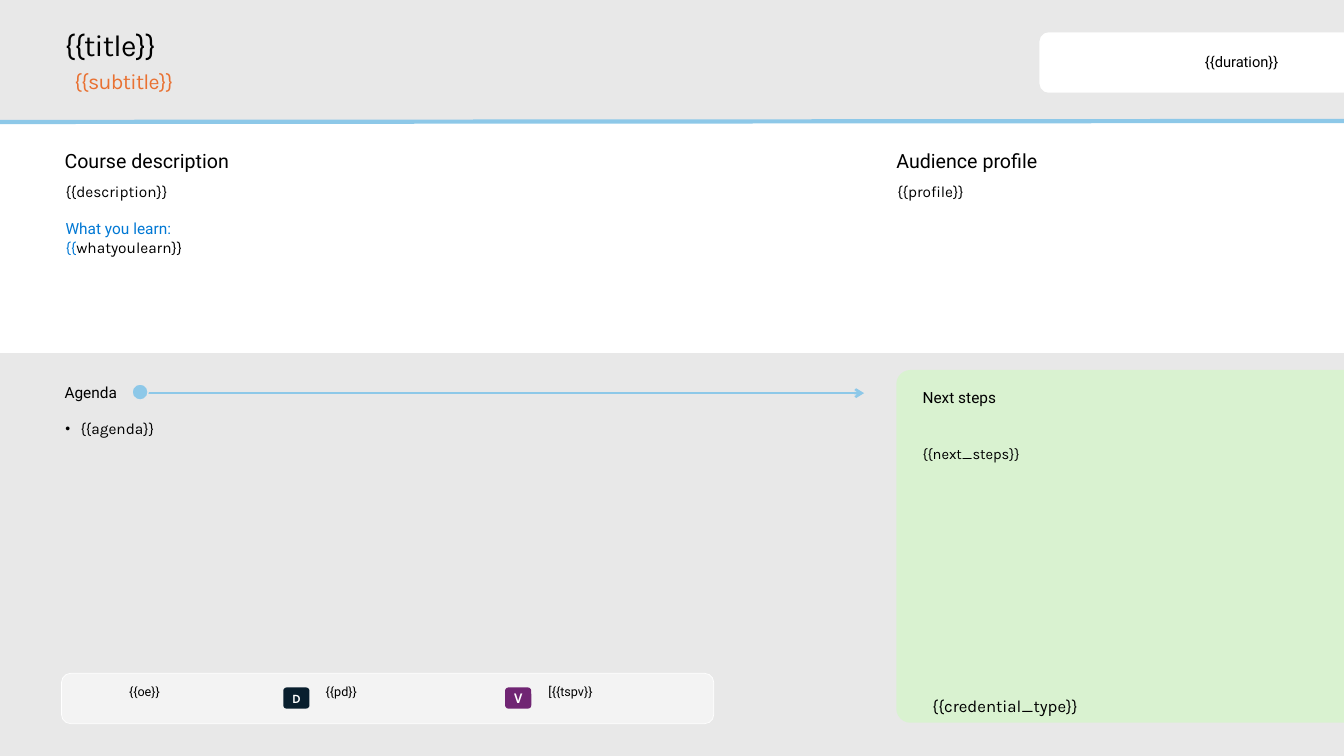
from lxml import etree
from pptx import Presentation
from pptx.dml.color import RGBColor
from pptx.enum import shapes, text
from pptx.oxml import ns
from pptx.util import Inches, Pt

COLORS = {
    "ground": "E8E8E8", "white": "FFFFFF", "black": "000000", "sky": "8DC8E8",
    "green": "D9F2D0", "orange": "E97132", "blue": "0078D4",
    "navy": "091F2E", "purple": "702573",
}
SHAPE = shapes.MSO_SHAPE
ALIGN = text.PP_ALIGN
ANCHOR = text.MSO_ANCHOR


def rgb(name):
    return RGBColor.from_string(COLORS[name])


def style(p, size, font="Karla", color="black", bold=False, align=ALIGN.LEFT,
          spacing=None, before=0, after=0):
    p.font.size, p.font.name, p.font.bold = Pt(size), font, bold
    p.font.color.rgb = rgb(color)
    p.alignment, p.line_spacing = align, spacing
    p.space_before, p.space_after = Pt(before), Pt(after)


def set_frame(tf, inset=(0, 0), anchor=ANCHOR.TOP):
    tf.word_wrap = True
    tf.auto_size = text.MSO_AUTO_SIZE.NONE
    tf.vertical_anchor = anchor
    tf.margin_left = tf.margin_right = Inches(inset[0])
    tf.margin_top = tf.margin_bottom = Inches(inset[1])


def add_text(s, x, y, w, h, words, size, inset=(0, 0), anchor=ANCHOR.TOP, **look):
    tf = s.shapes.add_textbox(Inches(x), Inches(y), Inches(w), Inches(h)).text_frame
    set_frame(tf, inset, anchor)
    p = tf.paragraphs[0]
    p.text = words
    style(p, size, **look)
    return tf


def add_heading(s, x, y, w, words):
    add_text(s, x, y, w, 0.24, words, 14, font="Roboto", spacing=Pt(18), after=6)


def add_label(s, x, y, w, words):
    add_text(s, x, y, w, 0.21, words, 11, font="Roboto", after=6)


def add_box(s, kind, x, y, w, h, fill, line=None, width=1, adj=None):
    sp = s.shapes.add_shape(kind, Inches(x), Inches(y), Inches(w), Inches(h))
    sp.shadow.inherit = False
    sp.fill.solid()
    sp.fill.fore_color.rgb = rgb(fill)
    if line:
        sp.line.color.rgb = rgb(line)
        sp.line.width = Pt(width)
    else:
        sp.line.fill.background()
    if adj is not None:
        sp.adjustments[0] = adj
    return sp


def add_left_rounded(s, x, y, w, h, fill, adj):
    sp = add_box(s, SHAPE.ROUND_2_SAME_RECTANGLE, x + (w - h) / 2, y + (h - w) / 2,
                 h, w, fill, adj=adj)
    sp.rotation = 270


def add_line(s, x1, y1, x2, y2, width, arrow=False):
    c = s.shapes.add_connector(shapes.MSO_CONNECTOR.STRAIGHT, Inches(x1), Inches(y1),
                               Inches(x2), Inches(y2))
    c.line.color.rgb = rgb("sky")
    c.line.width = Pt(width)
    if arrow:
        etree.SubElement(c.line._get_or_add_ln(), ns.qn("a:tailEnd"), type="arrow")
    etree.SubElement(c._element.spPr, ns.qn("a:effectLst"))


def tighten(p):
    for r in p.runs:
        r._r.get_or_add_rPr().set("spc", "-50")


def add_header(s, x, y, w):
    title = s.shapes.title
    title.left, title.top = Inches(x), Inches(y)
    title.width, title.height = Inches(w), Inches(0.33)
    set_frame(title.text_frame)
    p = title.text_frame.paragraphs[0]
    p.text = "{{title}}"
    style(p, 21.5, spacing=0.9)
    tighten(p)
    tf = add_text(s, x, y + 0.4, w, 0.3, "{{subtitle}}", 15.3, inset=(0.1, 0.05),
                  color="orange", spacing=0.7)
    tighten(tf.paragraphs[0])


def add_duration(s, x, y, w, h):
    add_left_rounded(s, x, y, w, h, "white", 0.151)
    add_text(s, x, y + 0.22, 2.37, 0.17, "{{duration}}", 10.5, font="Roboto",
             anchor=ANCHOR.MIDDLE, align=ALIGN.RIGHT, spacing=0.95)


def add_description(s, x, y, w):
    add_heading(s, x, y, 3.8, "Course description")
    tf = add_text(s, x + 0.01, y + 0.35, w, 1.65, "{{description}}", 11)
    p = tf.add_paragraph()
    p.text = "What you learn:"
    style(p, 11, font="Roboto", color="blue", before=13)
    p = tf.add_paragraph()
    style(p, 11)
    for words, color in (("{{", "blue"), ("whatyoulearn}}", "black")):
        r = p.add_run()
        r.text = words
        r.font.color.rgb = rgb(color)


def add_audience(s, x, y, w):
    add_heading(s, x, y, w, "Audience profile")
    add_text(s, x + 0.01, y + 0.35, w, 1.65, "{{profile}}", 11)


def add_agenda(s, x, y, w):
    add_label(s, x, y, 0.6, "Agenda")
    add_line(s, x + 0.67, y + 0.1, x + w, y + 0.1, 1.75, arrow=True)
    add_box(s, SHAPE.OVAL, x + 0.67, y + 0.01, 0.16, 0.16, "sky", "ground")
    tf = add_text(s, x + 0.01, y + 0.36, w, 2.35, "{{agenda}}", 11, after=6)
    body = tf._txBody.bodyPr
    body.set("numCol", "2")
    body.set("spcCol", str(Inches(0.2)))
    pPr = tf.paragraphs[0]._p.get_or_add_pPr()
    pPr.set("marL", str(Inches(0.15)))
    pPr.set("indent", str(-Inches(0.15)))
    bullet = [etree.Element(ns.qn("a:buSzPct"), val="90000"),
              etree.Element(ns.qn("a:buFont"), typeface="Arial"),
              etree.Element(ns.qn("a:buChar"), char="•")]
    at = list(pPr).index(pPr.find(ns.qn("a:defRPr")))
    pPr[at:at] = bullet


def add_next_steps(s, x, y, w, h):
    add_left_rounded(s, x, y, w, h, "green", 0.04)
    left = x + 0.26
    add_label(s, left, y + 0.18, 4.18, "Next steps")
    add_text(s, left, y + 0.66, 4.01, 0.3, "{{next_steps}}", 10.5, inset=(0, 0.05),
             spacing=1.2, after=5)
    add_text(s, left, y + 3.18, 2.31, 0.3, "{{credential_type}}", 12, inset=(0.1, 0.05))


def add_offers(s, x, y, w, h):
    bar = add_box(s, SHAPE.ROUNDED_RECTANGLE, x, y, w, h, "white", "white", 0.5, 0.184)
    fill = bar._element.spPr.find(ns.qn("a:solidFill"))
    etree.SubElement(fill[0], ns.qn("a:alpha"), val="50000")
    for dx, words, width in ((0.67, "{{oe}}", 0.97), (2.62, "{{pd}}", 1.22),
                             (4.83, "[{{tspv}}", 1.67)):
        add_text(s, x + dx, y + 0.1, width, 0.15, words, 9, font="Roboto")
    for dx, letter, size, color in ((2.2, "D", 9, "navy"), (4.4, "V", 10.5, "purple")):
        badge = add_box(s, SHAPE.ROUNDED_RECTANGLE, x + dx, y + 0.14, 0.26, 0.21,
                        color, adj=0.156)
        set_frame(badge.text_frame, anchor=ANCHOR.MIDDLE)
        p = badge.text_frame.paragraphs[0]
        p.text = letter
        style(p, size, color="white", bold=True, align=ALIGN.CENTER)


def main():
    prs = Presentation()
    prs.slide_width, prs.slide_height = Inches(13.33), Inches(7.5)
    s = prs.slides.add_slide(prs.slide_layouts[5])
    s.background.fill.solid()
    s.background.fill.fore_color.rgb = rgb("ground")
    add_box(s, SHAPE.RECTANGLE, 0, 1.21, 13.33, 2.29, "white")
    add_line(s, 0, 1.21, 13.33, 1.2, 3)
    add_header(s, 0.64, 0.3, 9.22)
    add_duration(s, 10.31, 0.32, 3.02, 0.6)
    add_description(s, 0.64, 1.46, 7.71)
    add_audience(s, 8.89, 1.46, 3.83)
    add_agenda(s, 0.64, 3.8, 7.93)
    add_next_steps(s, 8.89, 3.67, 4.44, 3.5)
    add_offers(s, 0.61, 6.68, 6.47, 0.5)
    prs.save("out.pptx")


if __name__ == "__main__":
    main()
